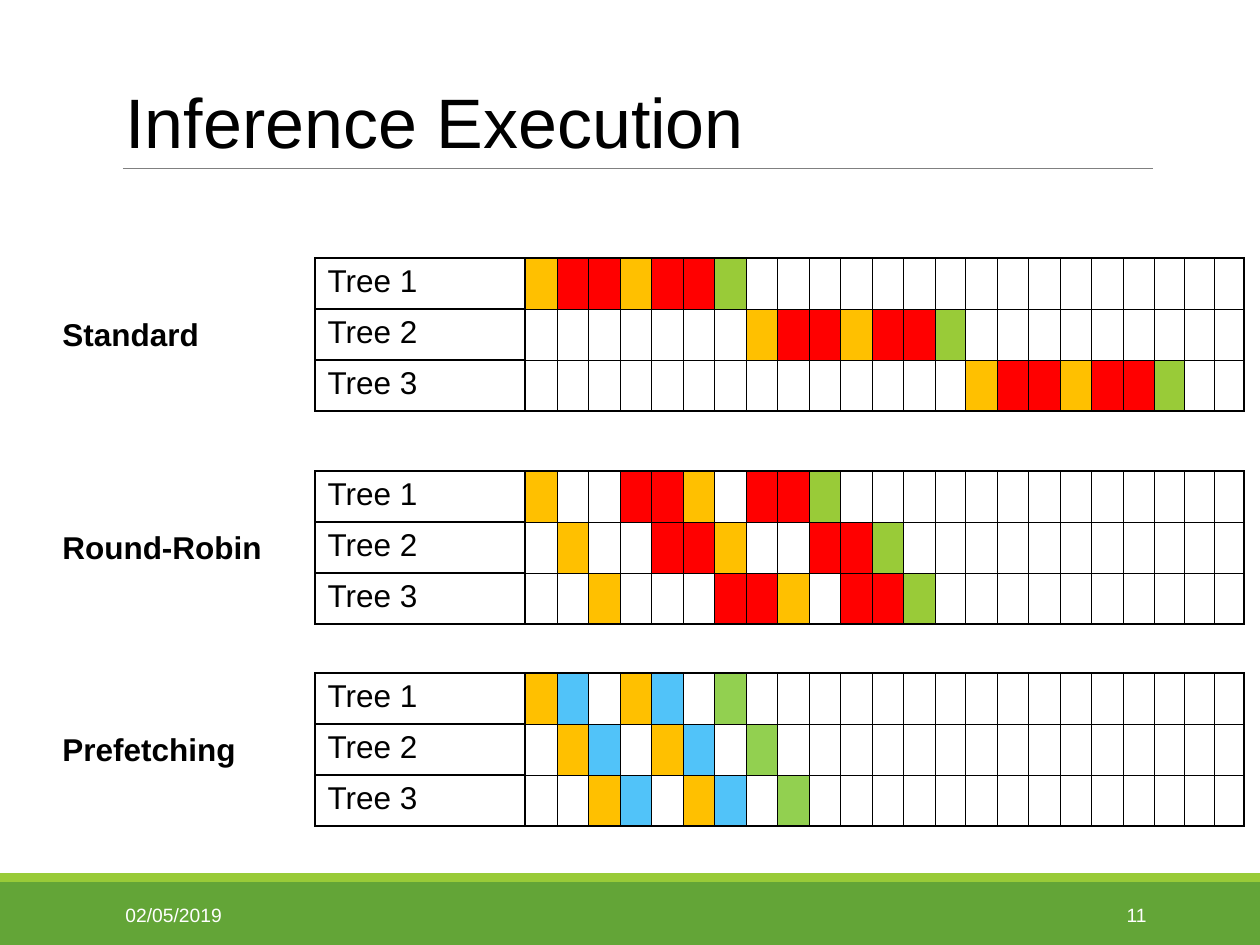
"""Build the Inference Execution slide with its three schedule tables."""
from dataclasses import dataclass

from lxml.etree import SubElement
from pptx import Presentation
from pptx.dml.color import RGBColor
from pptx.enum.shapes import MSO_CONNECTOR as Connector, MSO_SHAPE as Shape
from pptx.enum.text import MSO_ANCHOR as Anchor, MSO_AUTO_SIZE as AutoSize, PP_ALIGN as Align
from pptx.oxml.ns import qn
from pptx.util import Emu, Pt

SCALE = 914400 / 126
FONT = "Arial"
COLORS = {
    "black": "000000", "white": "FFFFFF", "gray": "808080",
    "band": "63A537", "stripe": "99CB38",
    "orange": "FFC000", "red": "FF0000", "blue": "51C3F9",
    "lime": "99CB38", "green": "92D050",
}
SLOT_COLORS = {"O": "orange", "R": "red", "B": "blue", "L": "lime", "G": "green"}
LABEL_WIDTH, ROW_HEIGHT, TABLE_LEFT = 210, 51, 315
SLOT_WIDTHS = [32 - i % 2 for i in range(19)] + [30] * 4
THIN, THICK = 0.25, 1


@dataclass
class Schedule:
    name: str
    top: int
    rows: list[str]


@dataclass
class Label:
    text: str
    left: int
    top: int
    width: int
    size: int
    color: str
    bold: bool = False
    align: Align = Align.LEFT
    anchor: Anchor = Anchor.TOP


SCHEDULES = [
    Schedule("Standard", 258, ["ORRORRL", " " * 7 + "ORRORRL", " " * 14 + "ORRORRL"]),
    Schedule("Round-Robin", 471, ["O  RRO RRL", " O  RRO  RRL", "  O   RRO RRL"]),
    Schedule("Prefetching", 673, ["OB OB G", " OB OB G", "  OB OB G"]),
]
FOOTERS = [
    Label("02/05/2019", 113, 890, 256, 11, "white", anchor=Anchor.MIDDLE),
    Label("11", 1023, 890, 136, 11, "white", align=Align.RIGHT, anchor=Anchor.MIDDLE),
]


def px(n: int) -> Emu:
    return Emu(round(n * SCALE))


def rgb(name: str) -> RGBColor:
    return RGBColor.from_string(COLORS[name])


def set_font(p, size: int, color: str, bold: bool = False) -> None:
    p.font.name, p.font.size, p.font.bold = FONT, Pt(size), bold
    p.font.color.rgb = rgb(color)


def add_bar(s, top: int, height: int, color: str) -> None:
    sp = s.shapes.add_shape(Shape.RECTANGLE, 0, px(top), px(1260), px(height))
    sp.shadow.inherit = False
    sp.fill.solid()
    sp.fill.fore_color.rgb = rgb(color)
    sp.line.fill.background()


def add_rule(s, left: int, right: int, y: int) -> None:
    line = s.shapes.add_connector(Connector.STRAIGHT, px(left), px(y), px(right), px(y))
    line.line.color.rgb = rgb("gray")
    line.line.width = Pt(0.5)
    SubElement(line._element.spPr, qn("a:effectLst"))


def set_title(s, text: str) -> None:
    title = s.shapes.title
    title.left, title.top, title.width, title.height = px(113), px(50), px(1040), px(119)
    tf = title.text_frame
    tf.text = text
    tf.vertical_anchor = Anchor.BOTTOM
    tf.auto_size = AutoSize.NONE
    p = tf.paragraphs[0]
    p.alignment = Align.LEFT
    set_font(p, 40, "black")


def add_label(s, label: Label) -> None:
    box = s.shapes.add_textbox(px(label.left), px(label.top), px(label.width), px(50))
    tf = box.text_frame
    tf.word_wrap = True
    tf.vertical_anchor = label.anchor
    p = tf.paragraphs[0]
    p.text = label.text
    p.alignment = label.align
    set_font(p, label.size, label.color, label.bold)


def set_borders(cell, left: float, right: float, top: float, bottom: float) -> None:
    tc_pr = cell._tc.get_or_add_tcPr()
    for side, width in zip("LRTB", (left, right, top, bottom)):
        ln = SubElement(tc_pr, qn(f"a:ln{side}"), w=str(Pt(width)))
        fill = SubElement(ln, qn("a:solidFill"))
        SubElement(fill, qn("a:srgbClr"), val=COLORS["black"])


def add_schedule(s, schedule: Schedule) -> None:
    widths = [LABEL_WIDTH] + SLOT_WIDTHS
    n_rows, n_cols = len(schedule.rows), len(widths)
    table = s.shapes.add_table(n_rows, n_cols, px(TABLE_LEFT), px(schedule.top),
                               px(sum(widths)), px(n_rows * ROW_HEIGHT)).table
    table.first_row = table.horz_banding = False
    for column, width in zip(table.columns, widths):
        column.width = px(width)
    for r, slots in enumerate(schedule.rows):
        table.rows[r].height = px(ROW_HEIGHT)
        for c, slot in enumerate(" " + slots.ljust(n_cols - 1)):
            cell = table.cell(r, c)
            set_borders(cell,
                        THICK if c < 2 else THIN,
                        THICK if c in (0, n_cols - 1) else THIN,
                        THICK if c == 0 or r == 0 else THIN,
                        THICK if c == 0 or r == n_rows - 1 else THIN)
            cell.fill.solid()
            cell.fill.fore_color.rgb = rgb(SLOT_COLORS.get(slot, "white"))
        p = table.cell(r, 0).text_frame.paragraphs[0]
        p.text = f"Tree {r + 1}"
        set_font(p, 18, "black")


def main() -> None:
    prs = Presentation()
    prs.slide_width, prs.slide_height = px(1260), px(945)
    s = prs.slides.add_slide(prs.slide_layouts[5])
    add_bar(s, 882, 63, "band")
    add_bar(s, 873, 9, "stripe")
    add_rule(s, 123, 1153, 168)
    set_title(s, "Inference Execution")
    for footer in FOOTERS:
        add_label(s, footer)
    for schedule in SCHEDULES:
        add_label(s, Label(schedule.name, 50, schedule.top + ROW_HEIGHT, 260, 18, "black", bold=True))
        add_schedule(s, schedule)
    prs.save("out.pptx")


if __name__ == "__main__":
    main()
